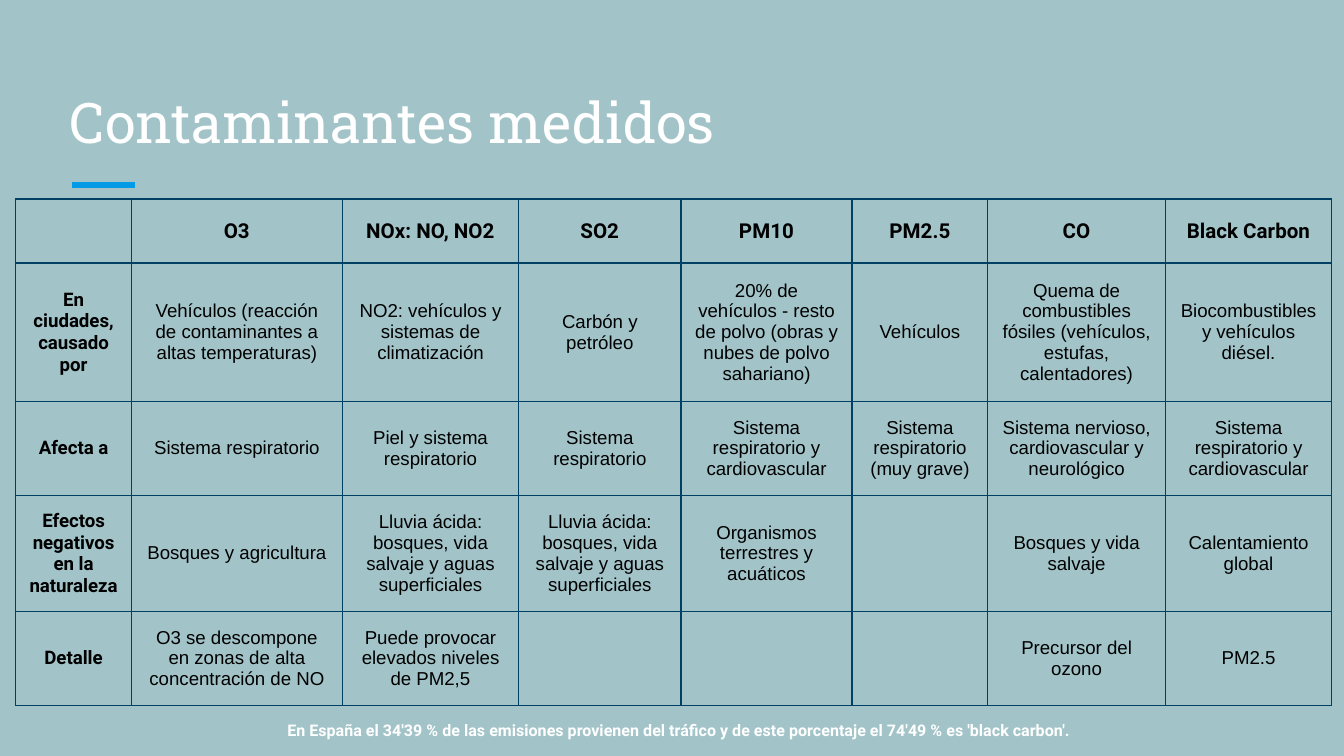
from lxml import etree
from pptx import Presentation
from pptx.dml.color import RGBColor
from pptx.enum.shapes import MSO_CONNECTOR
from pptx.enum.text import MSO_ANCHOR, PP_ALIGN
from pptx.oxml.ns import qn
from pptx.util import Cm, Pt

STRAIGHT = MSO_CONNECTOR.STRAIGHT
MIDDLE, BOTTOM, TOP = MSO_ANCHOR.MIDDLE, MSO_ANCHOR.BOTTOM, MSO_ANCHOR.TOP
CENTER = PP_ALIGN.CENTER

BACKGROUND = "A2C4C9"
ACCENT = "039BE5"
BORDER = "004065"
WHITE = "FFFFFF"
BLACK = "000000"
INSET = Cm(0.25)

COLUMN_WIDTHS = [2.18, 3.99, 3.33, 3.07, 3.23, 2.57, 3.35, 3.15]
ROW_HEIGHTS = [1.21, 2.54, 1.7, 2.13, 1.7]
POLLUTANTS = [
    ["", "O3", "NOx: NO, NO2", "SO2", "PM10", "PM2.5", "CO", "Black Carbon"],
    ["En ciudades, causado por",
     "Vehículos (reacción de contaminantes a altas temperaturas)",
     "NO2: vehículos y sistemas de climatización",
     "Carbón y petróleo",
     "20% de vehículos - resto de polvo (obras y nubes de polvo sahariano)",
     "Vehículos",
     "Quema de combustibles fósiles (vehículos, estufas, calentadores)",
     "Biocombustibles y vehículos diésel."],
    ["Afecta a",
     "Sistema respiratorio",
     "Piel y sistema respiratorio",
     "Sistema respiratorio",
     "Sistema respiratorio y cardiovascular",
     "Sistema respiratorio (muy grave)",
     "Sistema nervioso, cardiovascular y neurológico",
     "Sistema respiratorio y cardiovascular"],
    ["Efectos negativos en la naturaleza",
     "Bosques y agricultura",
     "Lluvia ácida: bosques, vida salvaje y aguas superficiales",
     "Lluvia ácida: bosques, vida salvaje y aguas superficiales",
     "Organismos terrestres y acuáticos",
     "",
     "Bosques y vida salvaje",
     "Calentamiento global"],
    ["Detalle",
     "O3 se descompone en zonas de alta concentración de NO",
     "Puede provocar elevados niveles de PM2,5",
     "", "", "",
     "Precursor del ozono",
     "PM2.5"],
]


def color(value):
    return RGBColor.from_string(value)


def style_font(para, name, size, value, bold=False):
    font = para.font
    font.name, font.size, font.bold = name, Pt(size), bold
    font.color.rgb = color(value)


def set_insets(holder):
    holder.margin_left = holder.margin_right = INSET
    holder.margin_top = holder.margin_bottom = INSET


def add_text(page, left, top, width, height, text, anchor):
    box = page.shapes.add_textbox(Cm(left), Cm(top), Cm(width), Cm(height))
    frame = box.text_frame
    frame.word_wrap = True
    frame.vertical_anchor = anchor
    set_insets(frame)
    para = frame.paragraphs[0]
    para.text = text
    return para


def add_rule(page, left, top, width):
    rule = page.shapes.add_connector(
        STRAIGHT, Cm(left), Cm(top), Cm(left + width), Cm(top))
    rule.line.color.rgb = color(ACCENT)
    rule.line.width = Pt(3)
    etree.SubElement(rule._element.spPr, qn("a:effectLst"))


def add_borders(cell):
    properties = cell._tc.get_or_add_tcPr()
    for position, side in enumerate(("a:lnL", "a:lnR", "a:lnT", "a:lnB")):
        line = etree.Element(qn(side), w=str(Pt(0.75)))
        fill = etree.SubElement(line, qn("a:solidFill"))
        etree.SubElement(fill, qn("a:srgbClr"), val=BORDER)
        properties.insert(position, line)


def fill_cell(cell, text, row, column):
    cell.fill.background()
    cell.vertical_anchor = MIDDLE
    set_insets(cell)
    add_borders(cell)
    para = cell.text_frame.paragraphs[0]
    para.text = text
    para.alignment = CENTER
    heading = row == 0 or column == 0
    style_font(para, "Roboto" if heading else "Arial",
               11 if row == 0 else 10, BLACK, heading)


def add_pollutant_table(page, left, top):
    frame = page.shapes.add_table(
        len(ROW_HEIGHTS), len(COLUMN_WIDTHS), Cm(left), Cm(top),
        Cm(sum(COLUMN_WIDTHS)), Cm(sum(ROW_HEIGHTS)))
    table = frame.table
    for column, width in zip(table.columns, COLUMN_WIDTHS):
        column.width = Cm(width)
    for row, height in zip(table.rows, ROW_HEIGHTS):
        row.height = Cm(height)
    for row, texts in enumerate(POLLUTANTS):
        for column, text in enumerate(texts):
            fill_cell(table.cell(row, column), text, row, column)


def main():
    deck = Presentation()
    deck.slide_width, deck.slide_height = Cm(25.4), Cm(14.29)
    page = deck.slides.add_slide(deck.slide_layouts[6])
    page.background.fill.solid()
    page.background.fill.fore_color.rgb = color(BACKGROUND)

    add_rule(page, 1.36, 3.5, 1.19)
    title = add_text(page, 1.07, 1.27, 23.24, 1.9,
                     "Contaminantes medidos", BOTTOM)
    style_font(title, "Roboto Slab", 30, WHITE)
    add_pollutant_table(page, 0.3, 3.76)
    note = add_text(page, 5.18, 13.36, 16.38, 1.02,
                    "En España el 34'39 % de las emisiones provienen del tráfico "
                    "y de este porcentaje el 74'49 % es 'black carbon'.", TOP)
    style_font(note, "Roboto", 8.6, WHITE, True)
    note.line_spacing = 1.15
    note.space_after = Pt(12)
    deck.save("out.pptx")


if __name__ == "__main__":
    main()
